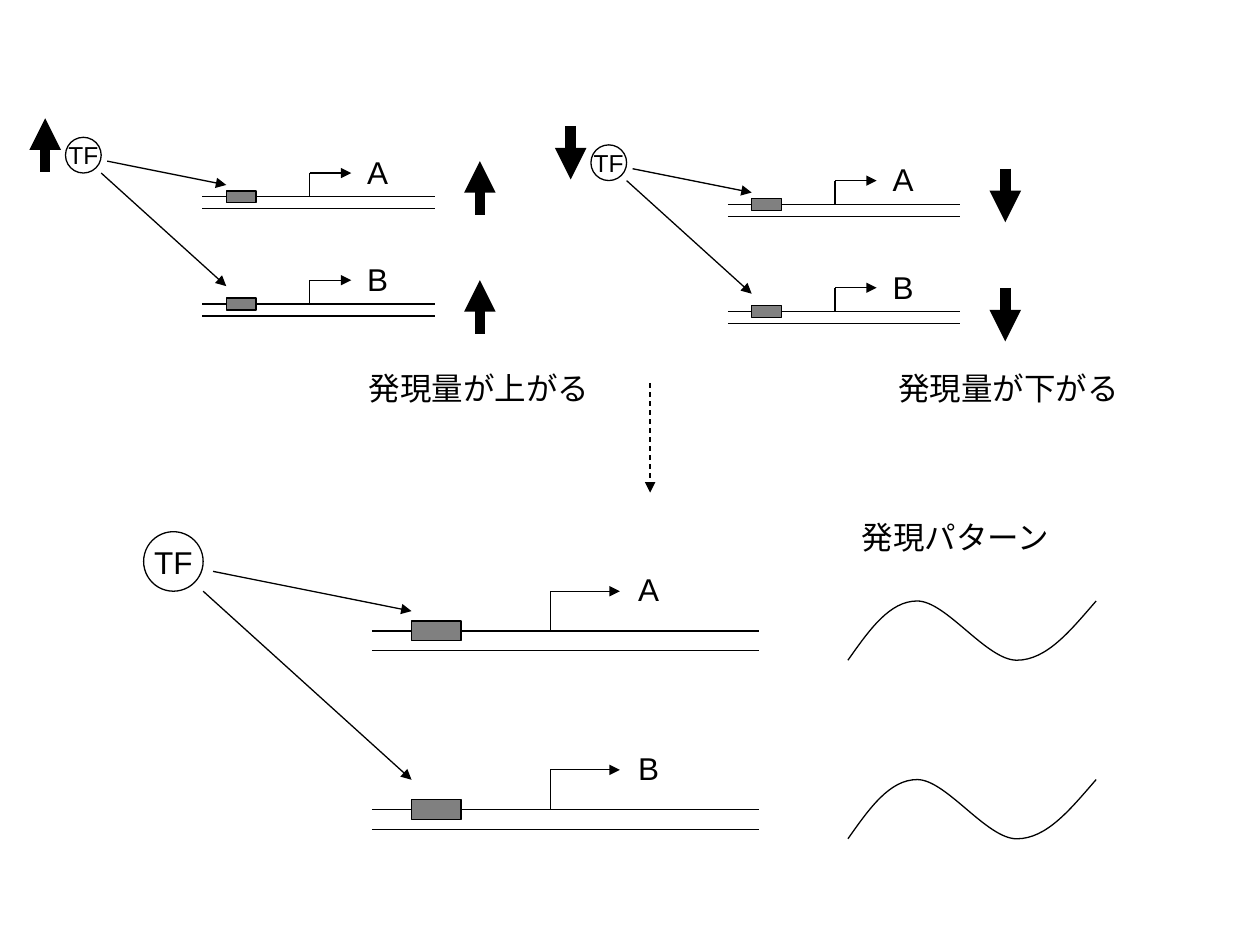
import dataclasses

import pptx
import pptx.dml.color
import pptx.enum.dml
import pptx.enum.shapes
import pptx.enum.text
import pptx.oxml.ns
import pptx.util
from lxml import etree

BLACK, GRAY = "000000", "808080"
LABEL_HEIGHT = 0.4
GENE_PITCH = 9  # grid rows between gene A and gene B
inch = pptx.util.Inches
qn = pptx.oxml.ns.qn


@dataclasses.dataclass
class Grid:
    """Square grid whose origin is the corner of the TF circle."""
    left: float
    top: float
    unit: float

    def at(self, column, row):
        return self.left + column * self.unit, self.top + row * self.unit


def color(value):
    return pptx.dml.color.RGBColor.from_string(value)


def outline(shape, width=0.75):
    shape.line.color.rgb = color(BLACK)
    shape.line.width = pptx.util.Pt(width)


def write(shape, text, size=18, align=None, anchor=None):
    frame = shape.text_frame
    frame.word_wrap = False
    frame.margin_left = frame.margin_right = inch(0.1)
    frame.margin_top = frame.margin_bottom = inch(0.05)
    if anchor is not None:
        frame.vertical_anchor = anchor
    para = frame.paragraphs[0]
    para.alignment = align
    span = para.add_run()
    span.text = text
    span.font.name = "Arial"
    span.font.size = pptx.util.Pt(size)
    span.font.color.rgb = color(BLACK)


def add_label(page, text, left, top, width):
    box = page.shapes.add_textbox(*map(inch, (left, top, width, LABEL_HEIGHT)))
    write(box, text)
    box.text_frame.auto_size = pptx.enum.text.MSO_AUTO_SIZE.SHAPE_TO_FIT_TEXT


def add_line(page, start, end, width=0.75, arrow=False, dashed=False):
    line = page.shapes.add_connector(
        pptx.enum.shapes.MSO_CONNECTOR.STRAIGHT, *map(inch, (*start, *end)))
    outline(line, width)
    if dashed:
        line.line.dash_style = pptx.enum.dml.MSO_LINE.DASH
    if arrow:
        etree.SubElement(line.line._get_or_add_ln(), qn("a:tailEnd"), type="triangle")
    etree.SubElement(line._element.spPr, qn("a:effectLst"))


def add_figure(page, kind, start, width, height, fill=None):
    figure = page.shapes.add_shape(kind, *map(inch, (*start, width, height)))
    figure.shadow.inherit = False
    if fill:
        figure.fill.solid()
        figure.fill.fore_color.rgb = color(fill)
    else:
        figure.fill.background()
    outline(figure)
    return figure


def add_gene(page, grid, name, row):
    # Two DNA strands with the binding site on the upper one
    for strand in (row + 5, row + 6):
        add_line(page, grid.at(11.5, strand), grid.at(31, strand))
    add_figure(page, pptx.enum.shapes.MSO_SHAPE.RECTANGLE, grid.at(13.5, row + 4.5),
               2.5 * grid.unit, grid.unit, fill=GRAY)
    # Transcription start
    add_line(page, grid.at(20.5, row + 5), grid.at(20.5, row + 3))
    add_line(page, grid.at(20.5, row + 3), grid.at(24, row + 3), arrow=True)
    left, middle = grid.at(24.3, row + 2.9)
    add_label(page, name, left, middle - LABEL_HEIGHT / 2, 0.36)


def add_network(page, grid, size):
    for index, name in enumerate("AB"):
        add_gene(page, grid, name, index * GENE_PITCH)
    circle = add_figure(page, pptx.enum.shapes.MSO_SHAPE.OVAL, grid.at(0, 0),
                        3 * grid.unit, 3 * grid.unit)
    write(circle, "TF", size, pptx.enum.text.PP_ALIGN.CENTER,
          pptx.enum.text.MSO_ANCHOR.MIDDLE)
    # Regulation of both genes
    add_line(page, grid.at(3, 3), grid.at(13.5, 12.5), arrow=True)
    add_line(page, grid.at(3.5, 2), grid.at(13.5, 4), arrow=True)


def add_levels(page, grid, rising):
    # Thick arrows beside the TF, gene A and gene B
    for column, row in ((-1.7, -1.6), (34.8, 2), (34.8, 12)):
        start, end = grid.at(column, row), grid.at(column, row + 4.5)
        if rising:
            start, end = end, start
        add_line(page, start, end, width=6, arrow=True)


def add_wave(page, left, top):
    low, high = 0.47, 0
    points = [(0.17, 0.23), (0.33, high), (0.55, high),
              (0.78, high), (1.1, low), (1.34, low),
              (1.58, low), (1.77, 0.23), (1.97, high)]
    builder = page.shapes.build_freeform(inch(left), inch(top + low))
    builder.add_line_segments(
        [(inch(left + x), inch(top + y)) for x, y in points], close=False)
    wave = builder.convert_to_shape()
    wave.shadow.inherit = False
    wave.fill.background()
    outline(wave)
    # Each three points become one cubic curve
    segments = list(wave._element.iter(qn("a:lnTo")))
    for index in range(0, len(segments), 3):
        first, *others = segments[index:index + 3]
        curve = etree.Element(qn("a:cubicBezTo"))
        first.addprevious(curve)
        for segment in (first, *others):
            curve.append(segment[0])
            curve.getparent().remove(segment)


def main():
    deck = pptx.Presentation()
    deck.slide_width, deck.slide_height = inch(10), inch(7.5)
    page = deck.slides.add_slide(deck.slide_layouts[6])

    # Top: expression goes up or down together with the TF
    for left, top, rising, text, text_left in (
            (0.52, 1.09, True, "発現量が上がる", 2.83),
            (4.69, 1.15, False, "発現量が下がる", 7.03)):
        grid = Grid(left, top, 0.0945)
        add_network(page, grid, 14)
        add_levels(page, grid, rising)
        add_label(page, text, text_left, 2.88, 1.95)

    # Bottom: shared expression pattern
    add_line(page, (5.16, 3.04), (5.16, 3.91), arrow=True, dashed=True)
    grid = Grid(1.14, 4.22, 0.1575)
    add_network(page, grid, 18)
    add_label(page, "発現パターン", 6.74, 4.06, 1.7)
    for index in range(2):
        add_wave(page, 6.73, 4.77 + index * GENE_PITCH * grid.unit)

    deck.save("out.pptx")


if __name__ == "__main__":
    main()
